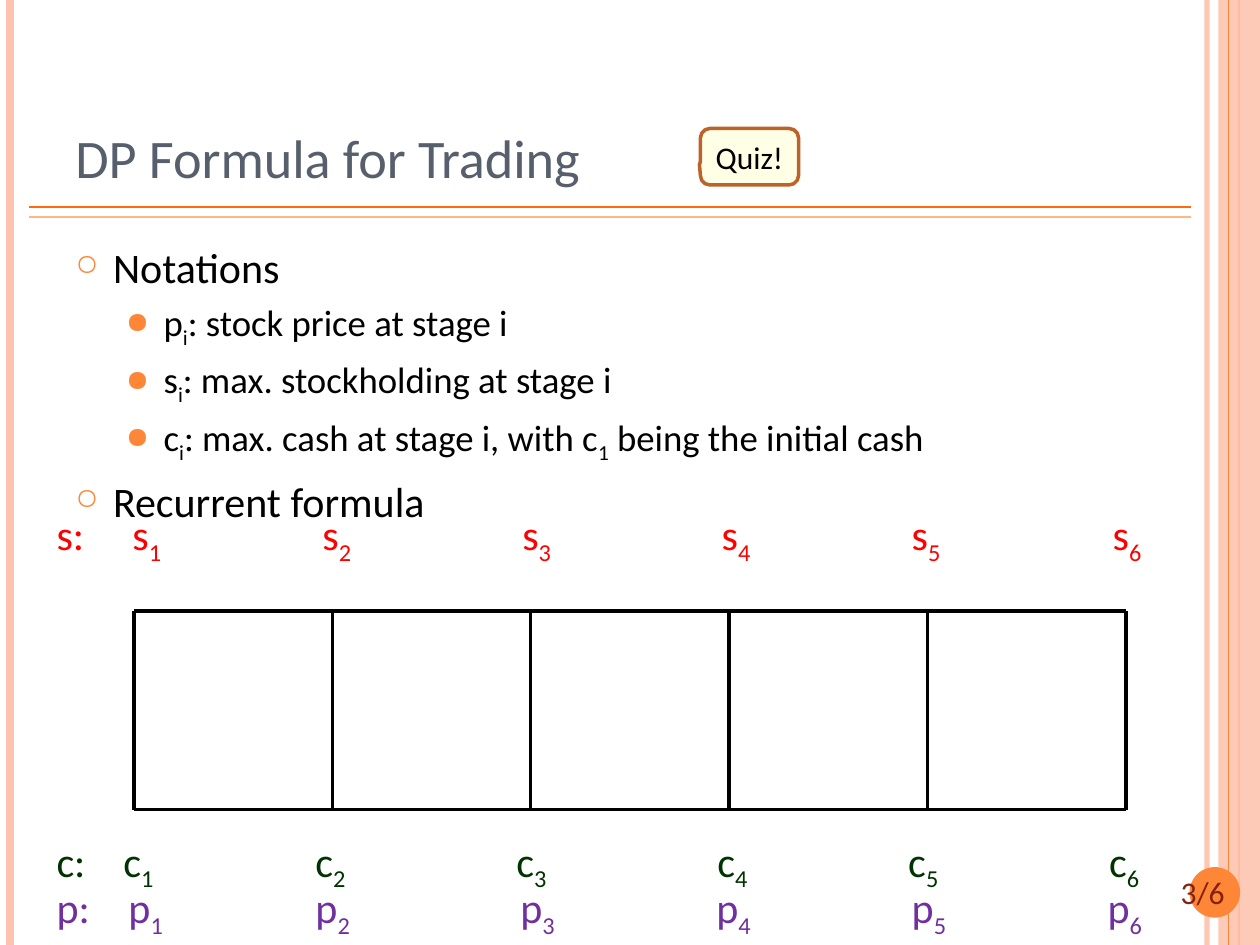
import lxml.etree
import pptx
import pptx.dml.color
import pptx.enum.dml
import pptx.enum.shapes
import pptx.enum.text
import pptx.oxml.ns
import pptx.util

Cm = pptx.util.Cm
Pt = pptx.util.Pt
SHAPES = pptx.enum.shapes.MSO_SHAPE
ALIGN = pptx.enum.text.PP_ALIGN
ANCHOR = pptx.enum.text.MSO_ANCHOR

COLORS = {
    "peach": "FEC3AE", "orange": "FE8637", "rule": "FF6B0A", "pale rule": "FEB687",
    "page": "862110", "title": "575F6D", "black": "000000", "callout": "FFFFCC",
    "callout edge": "BC6329", "stock": "FF0000", "cash": "003300", "price": "7030A0",
}

SLIDE_W, SLIDE_H = 25.4, 19.05
GRID_LEFT, GRID_TOP, CELL, STAGES = 2.7, 12.32, 4, 6

BULLETS = {
    0: {"mark": "○", "scale": "70000", "indent": 0.76, "size": 24, "before": 6},
    1: {"mark": "●", "scale": "80000", "indent": 1.78, "size": 21, "before": 4.2},
}

NOTES = [
    (0, "Notations"),
    (1, "p_i: stock price at stage i"),
    (1, "s_i: max. stockholding at stage i"),
    (1, "c_i: max. cash at stage i, with c_1 being the initial cash"),
    (0, "Recurrent formula"),
]

SERIES = [
    ("s", "stock", 10.13, [1.53, 5.36, 9.39, 13.41, 17.24, 21.29]),
    ("p", "price", 17.65, [1.45, 5.22, 9.35, 13.3, 17.24, 21.19]),
    ("c", "cash", 16.71, [1.35, 5.22, 9.27, 13.32, 17.17, 21.22]),
]


def rgb(name):
    return pptx.dml.color.RGBColor.from_string(COLORS[name])


def add_node(parent, tag, **values):
    node = lxml.etree.SubElement(parent, pptx.oxml.ns.qn(tag))
    for key, value in values.items():
        node.set(key, str(value))
    return node


def set_values(target, values):
    for key, value in values.items():
        setattr(target, key, value)


def add_line(slide, x1, y1, x2, y2, color, width, alpha=100):
    rule = slide.shapes.add_connector(
        pptx.enum.shapes.MSO_CONNECTOR.STRAIGHT, Cm(x1), Cm(y1), Cm(x2), Cm(y2))
    rule.line.width = Pt(width)
    paint(rule.line.fill, color, alpha)
    add_node(rule._element.spPr, "a:effectLst")
    return rule


def paint(fill, color, alpha=100):
    fill.solid()
    fill.fore_color.rgb = rgb(color)
    if alpha < 100:
        add_node(fill._xPr.find(".//" + pptx.oxml.ns.qn("a:srgbClr")),
                 "a:alpha", val=alpha * 1000)


def add_block(slide, kind, box, color, alpha=100):
    block = slide.shapes.add_shape(kind, *map(Cm, box))
    block.shadow.inherit = False
    paint(block.fill, color, alpha)
    block.line.fill.background()
    return block


def add_text(slide, box, **frame_values):
    frame = slide.shapes.add_textbox(*map(Cm, box)).text_frame
    set_values(frame, {"word_wrap": True, **frame_values})
    return frame


def write(paragraph, text, size, color):
    first, *marked = text.split("_")
    pieces = [(first, False)]
    for part in marked:
        pieces += [(part[0], True), (part[1:], False)]
    for piece, lowered in pieces:
        if piece:
            run = paragraph.add_run()
            run.text = piece
            set_values(run.font, {"name": "Calibri", "size": Pt(size)})
            run.font.color.rgb = rgb(color)
            if lowered:
                run._r.get_or_add_rPr().set("baseline", "-25000")


def add_frame_decor(slide):
    add_line(slide, 24.33, 0, 24.33, SLIDE_H, "peach", 3, 93)
    add_line(slide, 0.2, 0, 0.2, SLIDE_H, "peach", 4.5)
    band_axis = add_line(slide, 24.98, 0, 24.98, SLIDE_H, "orange", 1.5)
    band = add_block(slide, SHAPES.RECTANGLE, (24.56, 0, 0.84, SLIDE_H), "peach", 87)
    band_axis.begin_connect(band, 0)
    band_axis.end_connect(band, 2)
    add_line(slide, 24.77, 0, 24.77, SLIDE_H, "orange", 0.75)
    for y, color in ((4.17, "rule"), (4.37, "pale rule")):
        add_line(slide, 0.58, y, 24, y, color, 1)
    add_block(slide, SHAPES.OVAL, (23.98, 17.48, 1.02, 1.02), "orange")
    page = add_text(slide, (23.09, 17.48, 2.31, 1.02)).paragraphs[0]
    page.alignment = ALIGN.CENTER
    write(page, "3/6", 18, "page")


def add_notes_list(slide):
    frame = add_text(slide, (1.27, 4.75, 20.75, 13.23))
    for index, (level, text) in enumerate(NOTES):
        style = BULLETS[level]
        paragraph = frame.add_paragraph() if index else frame.paragraphs[0]
        set_values(paragraph, {"level": level, "space_before": Pt(style["before"])})
        props = paragraph._p.get_or_add_pPr()
        props.set("marL", str(Cm(style["indent"])))
        props.set("indent", str(-Cm(0.76)))
        add_node(add_node(props, "a:buClr"), "a:srgbClr", val=COLORS["orange"])
        add_node(props, "a:buSzPct", val=style["scale"])
        add_node(props, "a:buChar", char=style["mark"])
        write(paragraph, text, style["size"], "black")


def add_grid(slide):
    right, bottom = GRID_LEFT + CELL * (STAGES - 1), GRID_TOP + CELL
    for y in (GRID_TOP, bottom):
        add_line(slide, GRID_LEFT, y, right, y, "black", 2)
    for stage in range(STAGES):
        x = GRID_LEFT + CELL * stage
        add_line(slide, x, GRID_TOP, x, bottom, "black", 2)


def add_callout(slide):
    quiz = add_block(slide, SHAPES.ROUNDED_RECTANGULAR_CALLOUT,
                     (14.12, 2.59, 1.98, 1.14), "callout", 50)
    for index, value in enumerate((-0.51, 0.14, 0.17)):
        quiz.adjustments[index] = value
    paint(quiz.line.fill, "callout edge")
    quiz.line.width = Pt(2)
    set_values(quiz.text_frame, {"word_wrap": False, "vertical_anchor": ANCHOR.MIDDLE})
    label = quiz.text_frame.paragraphs[0]
    label.alignment = ALIGN.CENTER
    write(label, "Quiz!", 18, "black")


def add_series(slide, letter, color, top, stops):
    row = add_text(slide, (0.89, top, 23.4, 1.27)).paragraphs[0]
    tabs = add_node(row._p.get_or_add_pPr(), "a:tabLst")
    for stop in stops:
        add_node(tabs, "a:tab", pos=Cm(stop), algn="l")
    entries = [f"{letter}_{stage}" for stage in range(1, STAGES + 1)]
    write(row, "\t".join([f"{letter}:", *entries]), 24, color)


def main():
    deck = pptx.Presentation()
    set_values(deck, {"slide_width": Cm(SLIDE_W), "slide_height": Cm(SLIDE_H)})
    slide = deck.slides.add_slide(deck.slide_layouts[6])
    add_frame_decor(slide)
    add_notes_list(slide)
    title = add_text(slide, (1.27, 0.76, 20.75, 3.18), vertical_anchor=ANCHOR.BOTTOM)
    write(title.paragraphs[0], "DP Formula for Trading", 31, "title")
    add_grid(slide)
    add_callout(slide)
    for series in SERIES:
        add_series(slide, *series)
    deck.save("out.pptx")


if __name__ == "__main__":
    main()
